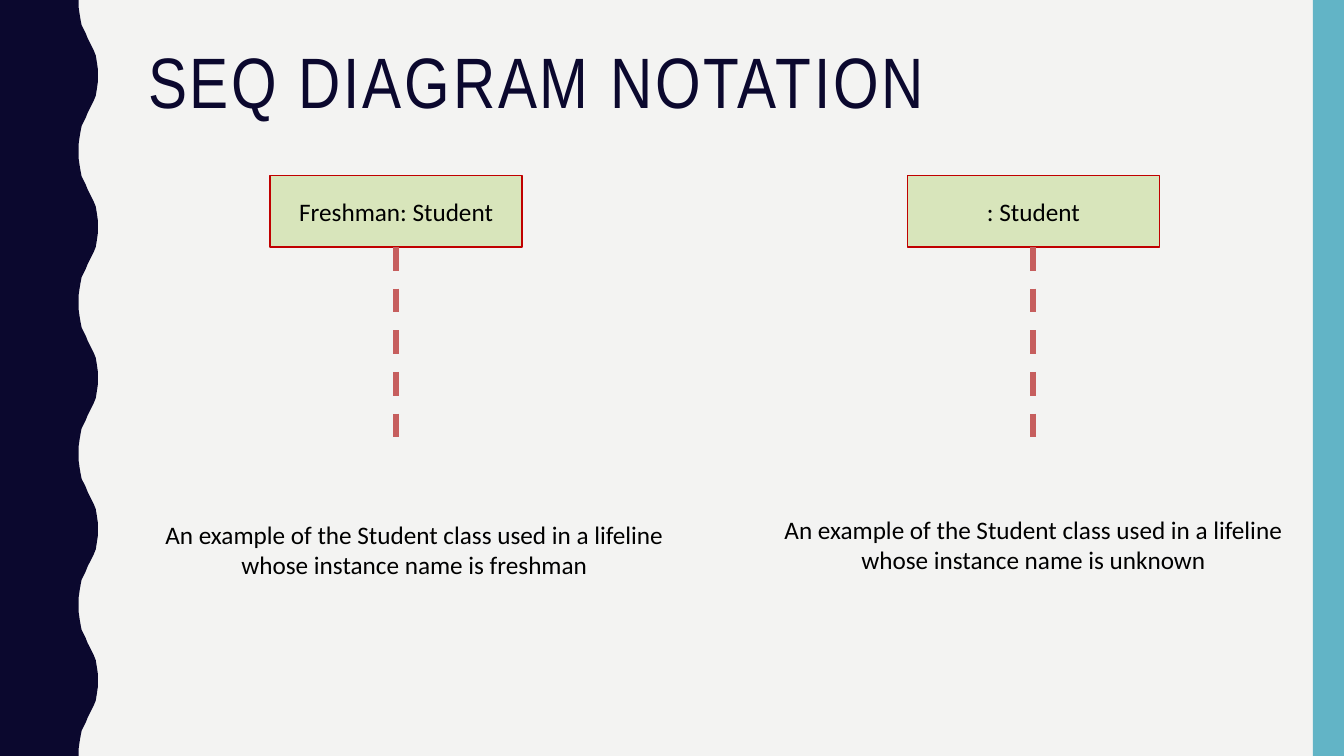
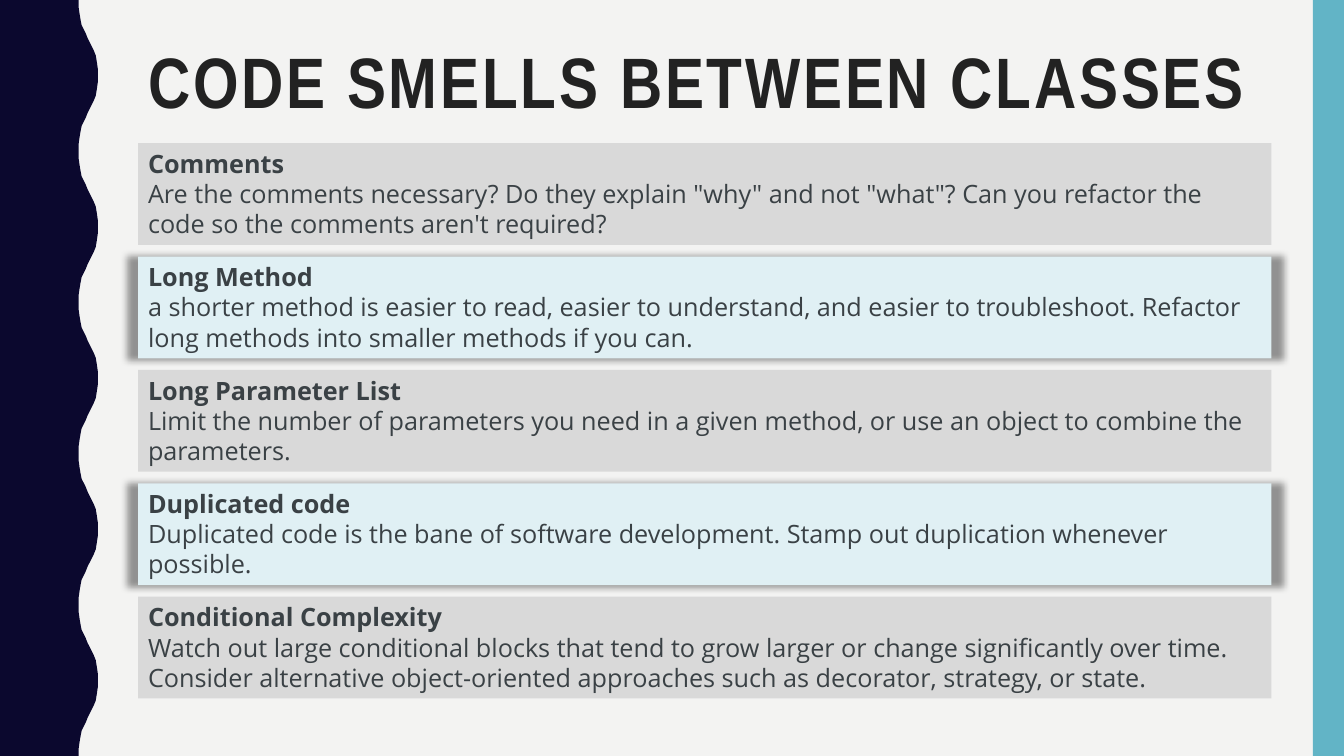
from lxml.etree import SubElement
from pptx import Presentation
from pptx.dml.color import RGBColor
from pptx.enum.dml import MSO_LINE
from pptx.enum.shapes import MSO_CONNECTOR, MSO_SHAPE
from pptx.enum.text import MSO_ANCHOR, PP_ALIGN
from pptx.oxml.ns import qn
from pptx.util import Inches, Pt

COLORS = {
    "background": "F3F3F2",
    "wave": "0B082E",
    "side_band": "62B4C6",
    "title_dark": "222222",
    "black": "000000",
    "object_fill": "D8E5BB",
    "object_line": "C00000",
    "lifeline": "C65E5E",
    "card_gray": "D9D9D9",
    "card_blue": "E0F0F4",
    "card_text": "3A4145",
}
TITLE_FONT, DIAGRAM_FONT, CARD_FONT = "Arial Narrow", "Calibri", "Open Sans"
SLIDE_WIDTH, SLIDE_HEIGHT = 13.33, 7.5

WAVE_PERIOD, WAVE_COUNT = 1.5, 5
# Outline from trough to crest, as (distance down, x)
WAVE_RISE = [
    (0, 0.78), (0.07, 0.78), (0.14, 0.79), (0.2, 0.8), (0.25, 0.81),
    (0.29, 0.83), (0.33, 0.85), (0.38, 0.87), (0.42, 0.89), (0.46, 0.91),
    (0.5, 0.93), (0.55, 0.95), (0.61, 0.96), (0.68, 0.97), (0.75, 0.97),
]

OBJECT_TOP, OBJECT_WIDTH, OBJECT_HEIGHT = 1.74, 2.5, 0.71
LIFELINE_END = 4.44
# Object label, object left, caption, caption left, caption top
LIFELINES = [
    ("Freshman: Student", 2.68,
     "An example of the Student class used in a lifeline whose instance name is freshman",
     1.51, 5.1),
    (": Student", 9,
     "An example of the Student class used in a lifeline whose instance name is unknown",
     7.65, 5.05),
]

CARD_LEFT, CARD_WIDTH, CARD_HEIGHT = 1.37, 11.24, 1.01
FIRST_CARD_TOP, LAST_CARD_TOP = 1.42, 5.92
CODE_SMELLS = [
    ("Comments",
     ["Are the comments necessary? Do they explain \"why\" and not \"what\"? "
      "Can you refactor the code so the comments aren't required?"]),
    ("Long Method",
     ["a shorter method is easier to read, easier to understand, and easier to "
      "troubleshoot. Refactor long methods into smaller methods if you can."]),
    ("Long Parameter List",
     ["Limit the number of parameters you need in a given method, or use an "
      "object to combine the parameters."]),
    ("Duplicated code",
     ["Duplicated code is the bane of software development. Stamp out "
      "duplication whenever",
      "possible."]),
    ("Conditional Complexity",
     ["Watch out large conditional blocks that tend to grow larger or change "
      "significantly over time. Consider alternative object-oriented approaches "
      "such as decorator, strategy, or state."]),
]


def rgb(name):
    return RGBColor.from_string(COLORS[name])


def paint(shape, fill, line=None):
    shape.shadow.inherit = False
    shape.fill.solid()
    shape.fill.fore_color.rgb = rgb(fill)
    if line:
        shape.line.color.rgb = rgb(line)
        shape.line.width = Pt(1)
    else:
        shape.line.fill.background()


def add_box(slide, left, top, width, height, fill, line=None):
    box = slide.shapes.add_shape(MSO_SHAPE.RECTANGLE, Inches(left), Inches(top),
                                 Inches(width), Inches(height))
    paint(box, fill, line)
    return box


def add_text(slide, left, top, width, height):
    """Return the frame of a wrapping text box."""
    frame = slide.shapes.add_textbox(Inches(left), Inches(top), Inches(width),
                                     Inches(height)).text_frame
    frame.word_wrap = True
    return frame


def add_run(paragraph, text, font, size, color, bold=False):
    run = paragraph.add_run()
    run.text = text
    run.font.name = font
    run.font.size = Pt(size)
    run.font.bold = bold
    run.font.color.rgb = rgb(color)
    return run


def add_wave(slide):
    outline = []
    for wave in range(WAVE_COUNT):
        start = wave * WAVE_PERIOD
        outline += [(x, start + down) for down, x in WAVE_RISE]
        outline += [(x, start + WAVE_PERIOD - down)
                    for down, x in reversed(WAVE_RISE[:-1])]
    outline.append((0, SLIDE_HEIGHT))
    builder = slide.shapes.build_freeform(0, 0)
    builder.add_line_segments([(Inches(x), Inches(y)) for x, y in outline], close=True)
    paint(builder.convert_to_shape(), "wave")


def add_base_slide(deck, title, color, bold=False):
    """Add a slide with the shared background, bands and title."""
    slide = deck.slides.add_slide(deck.slide_layouts[6])
    slide.background.fill.solid()
    slide.background.fill.fore_color.rgb = rgb("background")
    add_wave(slide)
    add_box(slide, 13.02, 0, 0.31, SLIDE_HEIGHT, "side_band")
    heading = add_text(slide, 1.37, 0.42, 11.13, 1.63).paragraphs[0]
    heading.line_spacing = 0.9
    run = add_run(heading, title, TITLE_FONT, 51, color, bold)
    run.font._element.set("spc", "200")
    return slide


def add_lifeline(slide, label, left, caption, caption_left, caption_top):
    box = add_box(slide, left, OBJECT_TOP, OBJECT_WIDTH, OBJECT_HEIGHT,
                  "object_fill", "object_line")
    box.text_frame.vertical_anchor = MSO_ANCHOR.MIDDLE
    caption_frame = add_text(slide, caption_left, caption_top, 5.2, 0.71)
    for frame, text in ((box.text_frame, label), (caption_frame, caption)):
        paragraph = frame.paragraphs[0]
        paragraph.alignment = PP_ALIGN.CENTER
        add_run(paragraph, text, DIAGRAM_FONT, 18, "black")

    center = Inches(left + OBJECT_WIDTH / 2)
    lifeline = slide.shapes.add_connector(
        MSO_CONNECTOR.STRAIGHT, center, Inches(OBJECT_TOP + OBJECT_HEIGHT),
        center, Inches(LIFELINE_END))
    lifeline.begin_connect(box, 2)
    lifeline.line.color.rgb = rgb("lifeline")
    lifeline.line.width = Pt(4.25)
    lifeline.line.dash_style = MSO_LINE.DASH
    SubElement(lifeline._element.spPr, qn("a:effectLst"))


def add_glow_shadow(shape):
    """Add a centred soft shadow slightly larger than the shape."""
    effects = shape._element.spPr.find(qn("a:effectLst"))
    shadow = SubElement(effects, qn("a:outerShdw"), blurRad=str(Pt(5)), dist="0",
                        dir="0", sx="102000", sy="102000", algn="ctr", rotWithShape="0")
    color = SubElement(shadow, qn("a:srgbClr"), val=COLORS["black"])
    SubElement(color, qn("a:alpha"), val="40000")


def add_card(slide, top, heading, description, highlighted):
    card = add_box(slide, CARD_LEFT, top, CARD_WIDTH, CARD_HEIGHT,
                   "card_blue" if highlighted else "card_gray")
    if highlighted:
        add_glow_shadow(card)
    frame = card.text_frame
    frame.word_wrap = True
    frame.vertical_anchor = MSO_ANCHOR.TOP
    for index, text in enumerate([heading, *description]):
        paragraph = frame.add_paragraph() if index else frame.paragraphs[0]
        paragraph.alignment = PP_ALIGN.LEFT
        add_run(paragraph, text, CARD_FONT, 18, "card_text", bold=index == 0)


def add_notation_slide(deck):
    slide = add_base_slide(deck, "SEQ DIAGRAM NOTATION", "wave")
    for lifeline in LIFELINES:
        add_lifeline(slide, *lifeline)


def add_code_smells_slide(deck):
    slide = add_base_slide(deck, "CODE SMELLS BETWEEN CLASSES", "title_dark", bold=True)
    step = (LAST_CARD_TOP - FIRST_CARD_TOP) / (len(CODE_SMELLS) - 1)
    for index, (heading, description) in enumerate(CODE_SMELLS):
        add_card(slide, FIRST_CARD_TOP + index * step, heading, description,
                 highlighted=index % 2 == 1)


def main():
    deck = Presentation()
    deck.slide_width, deck.slide_height = Inches(SLIDE_WIDTH), Inches(SLIDE_HEIGHT)
    add_notation_slide(deck)
    add_code_smells_slide(deck)
    deck.save("out.pptx")


if __name__ == "__main__":
    main()
